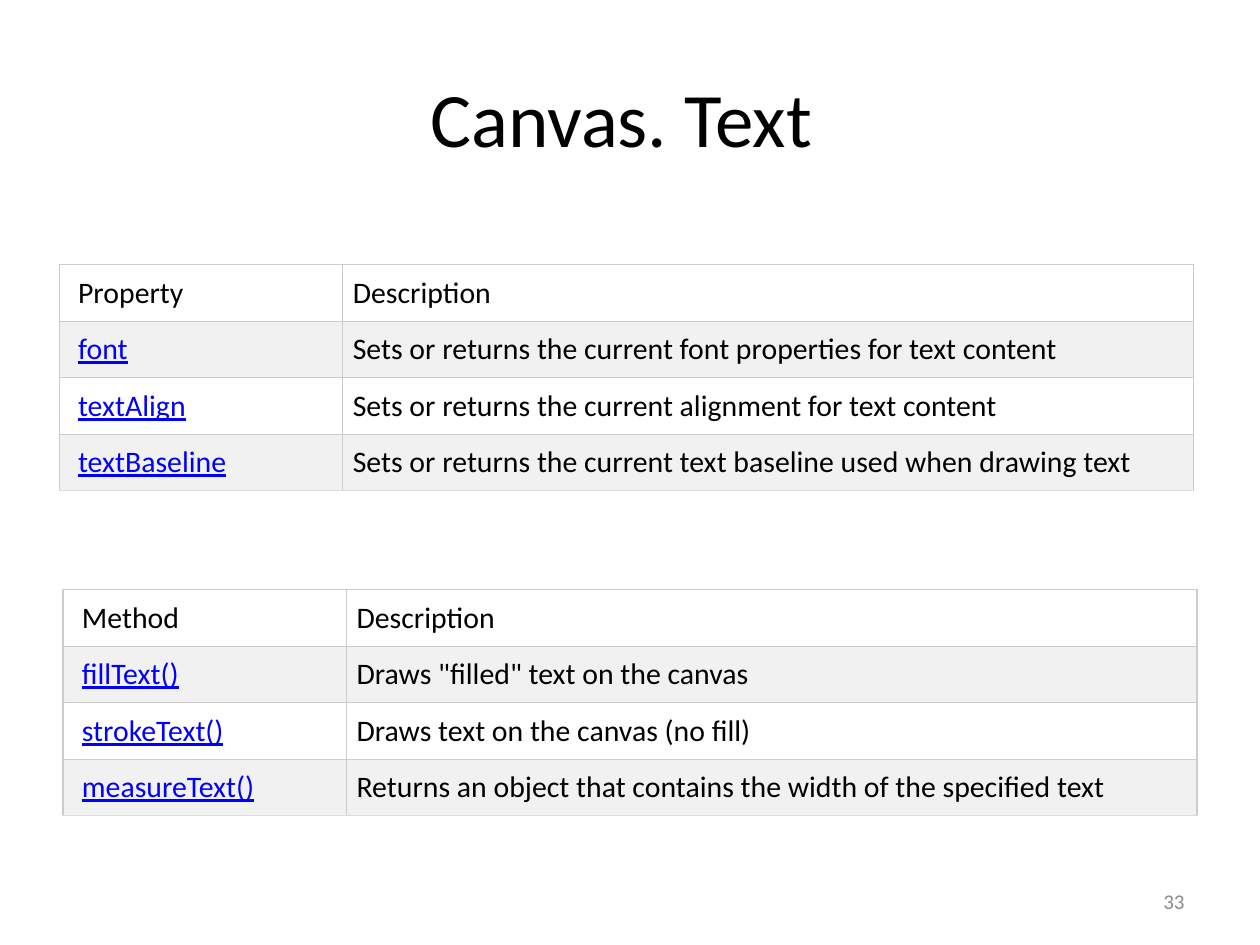
import pptx
import pptx.util
import pptx.dml.color
import pptx.enum.text
import pptx.oxml
import pptx.oxml.ns
from lxml import etree

Inches = pptx.util.Inches
Color = pptx.dml.color.RGBColor
Align = pptx.enum.text.PP_ALIGN
Anchor = pptx.enum.text.MSO_ANCHOR

BLACK = Color(0x00, 0x00, 0x00)
WHITE = Color(0xFF, 0xFF, 0xFF)
BAND = Color(0xF1, 0xF1, 0xF1)
LINK = Color(0x00, 0x00, 0xFF)
GRAY = Color(0x8C, 0x8C, 0x8C)
RULE = Color(0xCC, 0xCC, 0xCC)
BASE = Color(0xDD, 0xDD, 0xDD)

WIDE, HIGH = 10, 7.5
ROW = 0.44
SPLIT = 0.25
PAD = 0.08

PROPS = [
    ("Property", "Description"),
    ("font", "Sets or returns the current font properties for text content"),
    ("textAlign", "Sets or returns the current alignment for text content"),
    ("textBaseline", "Sets or returns the current text baseline used when drawing text"),
]
METHODS = [
    ("Method", "Description"),
    ("fillText()", "Draws \"filled\" text on the canvas"),
    ("strokeText()", "Draws text on the canvas (no fill)"),
    ("measureText()", "Returns an object that contains the width of the specified text"),
]


def write(frame, text, size=17, color=BLACK, align=Align.LEFT, under=False):
    frame.word_wrap = True
    para = frame.paragraphs[0]
    para.alignment = align
    run = para.add_run()
    run.text = text
    font = run.font
    font.name = "Calibri"
    font.size = pptx.util.Pt(size)
    font.color.rgb = color
    font.underline = under


def edge(cell, last):
    props = cell._tc.get_or_add_tcPr()
    for spot, side in enumerate(("lnL", "lnR", "lnT", "lnB")):
        color = BASE if last and side == "lnB" else RULE
        line = etree.Element(pptx.oxml.ns.qn("a:" + side), w=str(pptx.util.Pt(0.75)))
        fill = etree.SubElement(line, pptx.oxml.ns.qn("a:solidFill"))
        etree.SubElement(fill, pptx.oxml.ns.qn("a:srgbClr"), val=str(color))
        props.insert(spot, line)


def place(shape, box):
    shape.left, shape.top, shape.width, shape.height = map(Inches, box)


def title(slide, box, text):
    shape = slide.shapes.title
    place(shape, box)
    shape.text_frame.vertical_anchor = Anchor.MIDDLE
    write(shape.text_frame, text, size=44, align=Align.CENTER)


def number(slide, box, text):
    frame = slide.shapes.add_textbox(*map(Inches, box)).text_frame
    frame.vertical_anchor = Anchor.MIDDLE
    write(frame, text, size=12, color=GRAY, align=Align.RIGHT)


def grid(slide, box, rows):
    table = slide.shapes.add_table(len(rows), 2, *map(Inches, box)).table
    table.columns[0].width = Inches(box[2] * SPLIT)
    table.columns[1].width = Inches(box[2] * (1 - SPLIT))
    for r, row in enumerate(rows):
        table.rows[r].height = Inches(box[3] / len(rows))
        for c, text in enumerate(row):
            cell = table.cell(r, c)
            cell.margin_left = Inches(PAD if c else 0.15)
            cell.margin_right = cell.margin_top = cell.margin_bottom = Inches(PAD)
            cell.fill.solid()
            cell.fill.fore_color.rgb = BAND if r % 2 else WHITE
            edge(cell, r == len(rows) - 1)
            link = r > 0 and c == 0
            write(cell.text_frame, text, color=LINK if link else BLACK, under=link)


def main():
    deck = pptx.Presentation()
    deck.slide_width, deck.slide_height = Inches(WIDE), Inches(HIGH)
    slide = deck.slides.add_slide(deck.slide_layouts[5])
    span = 0.9 * WIDE
    edge_x = 0.05 * WIDE
    title(slide, (edge_x, 0.04 * HIGH, span, HIGH / 6), "Canvas. Text ")
    grid(slide, (0.047 * WIDE, 0.28 * HIGH, span, ROW * len(PROPS)), PROPS)
    grid(slide, (edge_x, 0.624 * HIGH, span, ROW * len(METHODS)), METHODS)
    number(slide, (7.17, 6.95, 2.33, 0.4), "33")
    deck.save("out.pptx")


if __name__ == "__main__":
    main()
